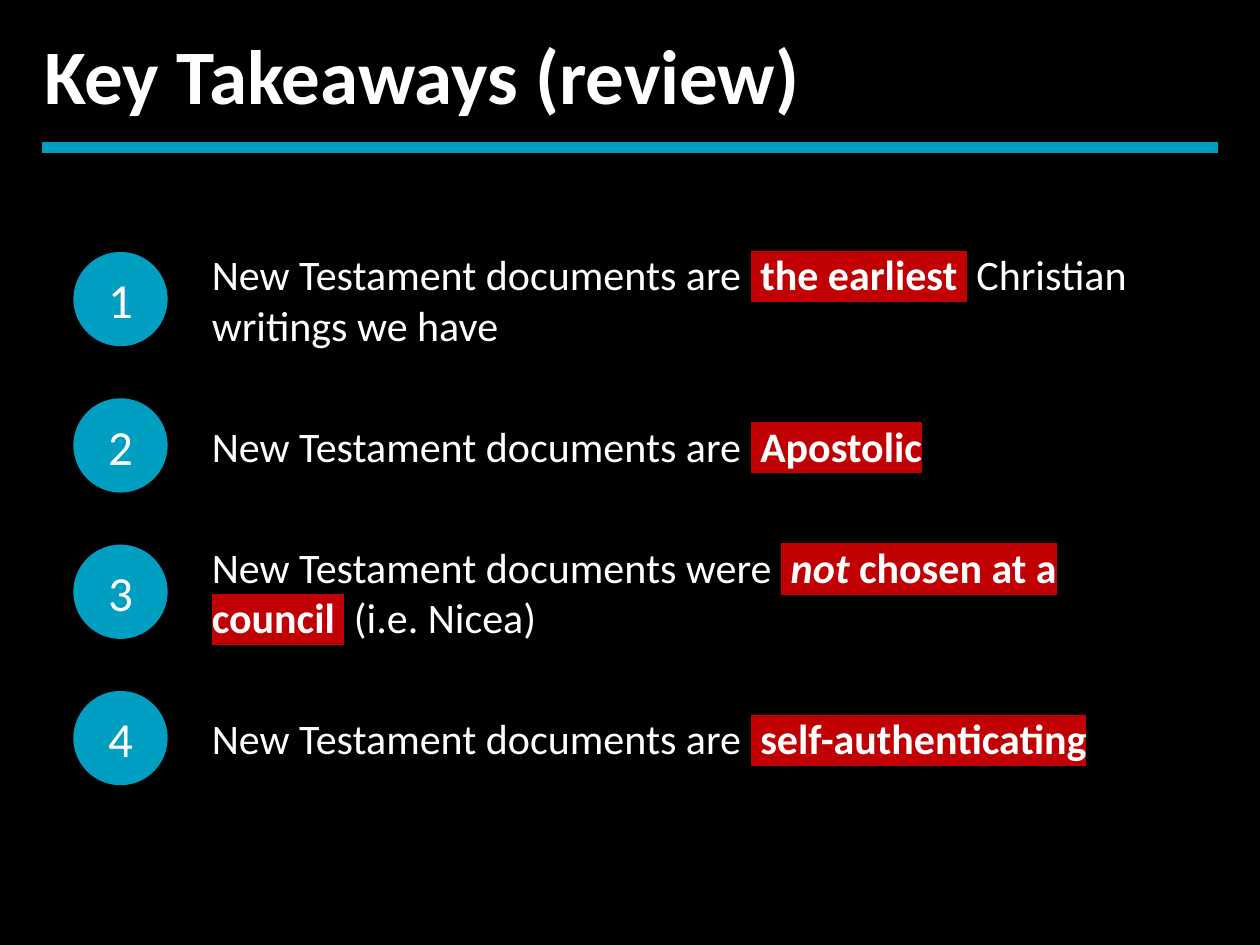
import pptx
import pptx.dml.color
import pptx.enum.shapes
import pptx.enum.text
import pptx.oxml
import pptx.oxml.ns
import pptx.util
from pptx.util import Cm

BLACK = pptx.dml.color.RGBColor(0x00, 0x00, 0x00)
WHITE = pptx.dml.color.RGBColor(0xFF, 0xFF, 0xFF)
TEAL = pptx.dml.color.RGBColor(0x00, 0x9E, 0xC0)
RED = pptx.dml.color.RGBColor(0xC0, 0x00, 0x02)

FONT = "Calibri"
FIRST_TOP = Cm(5.08)
ROW_PITCH = Cm(2.95)
ROW_HEIGHT = Cm(1.9)

# Each run is its text and its marks: h = highlight, b = bold, i = italic.
TAKEAWAYS = [
    [("New Testament documents are ", ""), (" ", "h"), ("the earliest ", "hb"),
     (" ", "b"), ("Christian writings we have", "")],
    [("New Testament documents are ", ""), (" ", "h"), ("Apostolic", "hb")],
    [("New Testament documents were ", ""), (" ", "h"), ("not", "hbi"),
     (" chosen at a council ", "hb"), (" ", "b"), ("(i.e. Nicea)", "")],
    [("New Testament documents are ", ""), (" ", "h"),
     ("self-authenticating", "hb")],
]


def format_run(r, size, marks=""):
    r.font.name = FONT
    r.font.size = pptx.util.Pt(size)
    r.font.color.rgb = WHITE
    r.font.bold = "b" in marks
    r.font.italic = "i" in marks
    if "h" in marks:
        highlight = pptx.oxml.parse_xml(
            f'<a:highlight {pptx.oxml.ns.nsdecls("a")}>'
            f'<a:srgbClr val="{RED}"/></a:highlight>')
        # The schema wants the highlight straight after the fill.
        r.font._element.find(pptx.oxml.ns.qn("a:solidFill")).addnext(highlight)


def add_title(s, text):
    tf = s.shapes.add_textbox(Cm(0.64), Cm(0.43), Cm(23.93), Cm(2.13)).text_frame
    tf.word_wrap = True
    tf.text = text
    format_run(tf.paragraphs[0].runs[0], 44, "b")


def add_rule(s):
    line = s.shapes.add_connector(pptx.enum.shapes.MSO_CONNECTOR.STRAIGHT,
                                  Cm(0.84), Cm(2.97), Cm(24.56), Cm(2.97))
    line.line.color.rgb = TEAL
    line.line.width = pptx.util.Pt(6)
    line._element.spPr.append(pptx.oxml.parse_xml(
        f'<a:effectLst {pptx.oxml.ns.nsdecls("a")}/>'))


def add_number(group, number, top):
    sp = group.shapes.add_shape(pptx.enum.shapes.MSO_SHAPE.OVAL,
                                Cm(1.48), top, ROW_HEIGHT, ROW_HEIGHT)
    sp.shadow.inherit = False
    sp.fill.solid()
    sp.fill.fore_color.rgb = TEAL
    sp.line.fill.background()
    tf = sp.text_frame
    tf.text = str(number)
    tf.vertical_anchor = pptx.enum.text.MSO_ANCHOR.MIDDLE
    p = tf.paragraphs[0]
    p.alignment = pptx.enum.text.PP_ALIGN.CENTER
    format_run(p.runs[0], 28)


def add_statement(group, runs, top):
    tf = group.shapes.add_textbox(Cm(4.02), top, Cm(19.69), ROW_HEIGHT).text_frame
    tf.word_wrap = True
    tf.vertical_anchor = pptx.enum.text.MSO_ANCHOR.MIDDLE
    for text, marks in runs:
        r = tf.paragraphs[0].add_run()
        r.text = text
        format_run(r, 24, marks)


def main():
    prs = pptx.Presentation()
    prs.slide_width, prs.slide_height = Cm(25.4), Cm(19.05)
    s = prs.slides.add_slide(prs.slide_layouts[6])
    s.background.fill.solid()
    s.background.fill.fore_color.rgb = BLACK

    add_title(s, "Key Takeaways (review)")
    add_rule(s)
    for i, runs in enumerate(TAKEAWAYS):
        top = FIRST_TOP + i * ROW_PITCH
        group = s.shapes.add_group_shape()
        add_number(group, i + 1, top)
        add_statement(group, runs, top)
    prs.save("out.pptx")


if __name__ == "__main__":
    main()
